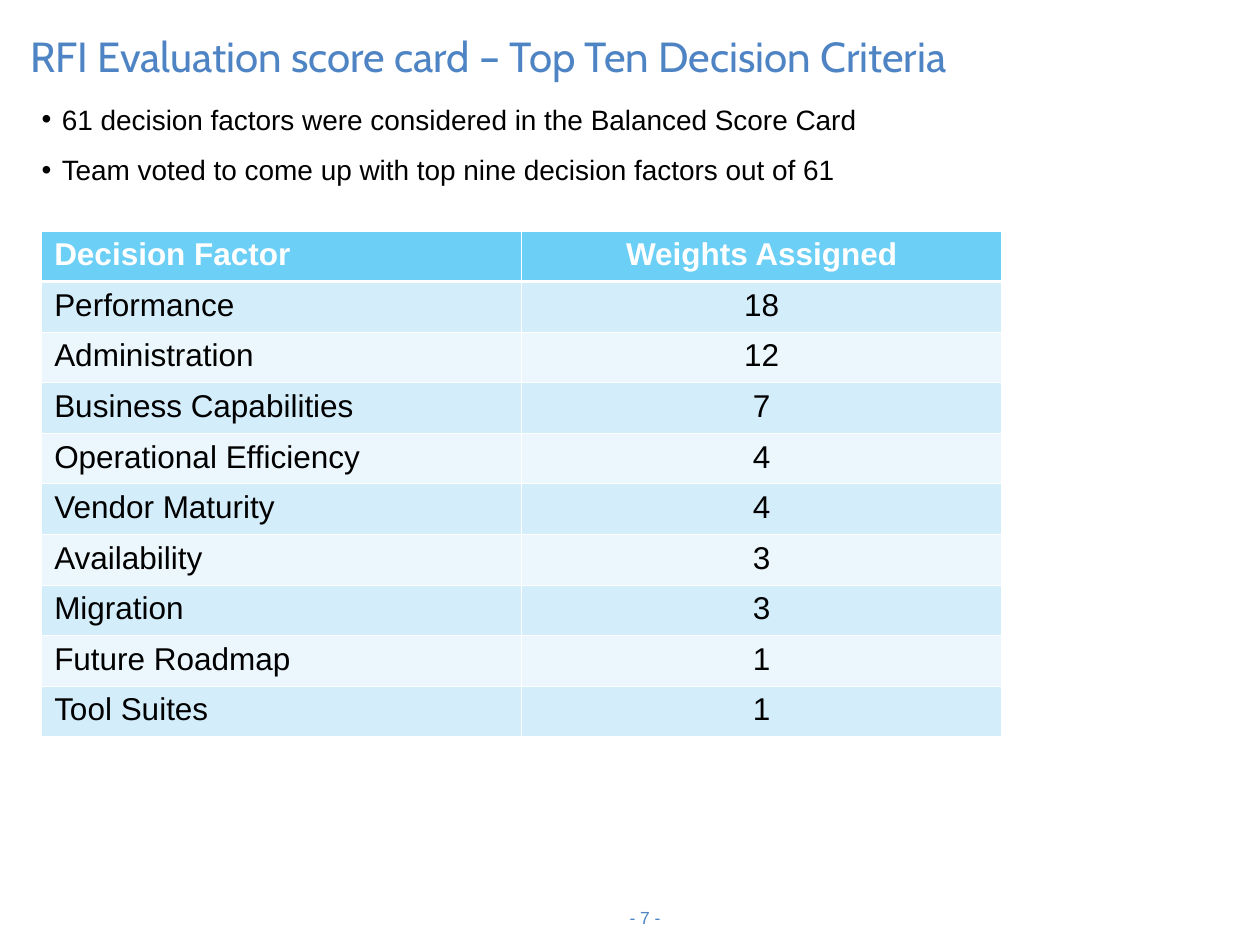
from typing import NamedTuple

from lxml import etree
from pptx import Presentation
from pptx.dml.color import RGBColor
from pptx.enum.text import PP_ALIGN
from pptx.oxml.ns import qn
from pptx.util import Pt

LEFT, CENTER, RIGHT = PP_ALIGN.LEFT, PP_ALIGN.CENTER, PP_ALIGN.RIGHT
BLUE, BLACK, WHITE = "4E84C4", "000000", "FFFFFF"
HEADER_FILL, BAND_FILLS = "6CCFF6", ("D4EDFB", "EBF6FD")
ROW_HEIGHT, COLUMN_WIDTH = 28.9, 274.3
THIN_BORDER, HEADER_BORDER = 0.45, 1.47
BULLET_INDENT = 11.5


class Style(NamedTuple):
    """Look of a run and its paragraph."""
    size: float
    color: str
    font: str = "Arial"
    bold: bool = False
    align: PP_ALIGN = LEFT


class TextBlock(NamedTuple):
    """A text box with its place, lines and look."""
    left: float
    top: float
    width: float
    height: float
    lines: tuple[str, ...]
    style: Style
    bulleted: bool = False


class Factor(NamedTuple):
    """A decision factor and its assigned weight."""
    name: str
    weight: str


TEXT_BLOCKS = (
    TextBlock(342.7, 514.8, 41.8, 22.3, ("- 7 -",), Style(10, BLUE, align=RIGHT)),
    TextBlock(23.8, 49, 679, 57.6, (
        "61 decision factors were considered in the Balanced Score Card",
        "Team voted to come up with top nine decision factors out of 61",
    ), Style(16, BLACK), bulleted=True),
    TextBlock(10.1, 13.7, 685.4, 38.9,
              ("RFI Evaluation score card – Top Ten Decision Criteria",),
              Style(24, BLUE, "Cabin")),
)
FACTORS = (
    Factor("Decision Factor", "Weights Assigned"),
    Factor("Performance", "18"),
    Factor("Administration", "12"),
    Factor("Business Capabilities", "7"),
    Factor("Operational Efficiency", "4"),
    Factor("Vendor Maturity", "4"),
    Factor("Availability", "3"),
    Factor("Migration", "3"),
    Factor("Future Roadmap", "1"),
    Factor("Tool Suites", "1"),
)


def rgb(color: str) -> RGBColor:
    """Turn a hex string into a colour."""
    return RGBColor.from_string(color)


def add_run(paragraph, text: str, style: Style) -> None:
    """Add a styled run to a paragraph."""
    paragraph.alignment = style.align
    run = paragraph.add_run()
    run.text = text
    run.font.name = style.font
    run.font.size = Pt(style.size)
    run.font.bold = style.bold
    run.font.color.rgb = rgb(style.color)


def add_bullet(paragraph, color: str) -> None:
    """Give a paragraph a hanging bullet."""
    paragraph.line_spacing = 1.5
    properties = paragraph._p.get_or_add_pPr()
    properties.set("marL", str(Pt(BULLET_INDENT)))
    properties.set("indent", str(-Pt(BULLET_INDENT)))
    bullet_color = etree.SubElement(properties, qn("a:buClr"))
    etree.SubElement(bullet_color, qn("a:srgbClr"), val=color)
    etree.SubElement(properties, qn("a:buFont"), typeface="Arial")
    etree.SubElement(properties, qn("a:buChar"), char="•")


def add_text_block(slide, block: TextBlock) -> None:
    """Draw a text box, one paragraph a line."""
    shape = slide.shapes.add_textbox(
        Pt(block.left), Pt(block.top), Pt(block.width), Pt(block.height))
    frame = shape.text_frame
    frame.word_wrap = True
    if block.bulleted:
        frame.margin_left = frame.margin_right = Pt(0)
        frame.margin_top = frame.margin_bottom = Pt(0)
    for index, line in enumerate(block.lines):
        paragraph = frame.add_paragraph() if index else frame.paragraphs[0]
        if block.bulleted:
            add_bullet(paragraph, block.style.color)
        add_run(paragraph, line, block.style)


def set_borders(cell, top: float, bottom: float) -> None:
    """Draw white lines on all four sides of a cell."""
    properties = cell._tc.get_or_add_tcPr()
    widths = {"a:lnL": THIN_BORDER, "a:lnR": THIN_BORDER, "a:lnT": top, "a:lnB": bottom}
    for side, width in widths.items():
        line = etree.SubElement(properties, qn(side), w=str(Pt(width)))
        fill = etree.SubElement(line, qn("a:solidFill"))
        etree.SubElement(fill, qn("a:srgbClr"), val=WHITE)


def add_factor_table(slide, left: float, top: float) -> None:
    """Draw the banded table of decision factors and weights."""
    column_count = len(Factor._fields)
    table = slide.shapes.add_table(
        len(FACTORS), column_count, Pt(left), Pt(top),
        Pt(COLUMN_WIDTH * column_count), Pt(ROW_HEIGHT * len(FACTORS))).table
    for column in table.columns:
        column.width = Pt(COLUMN_WIDTH)
    for row_index, factor in enumerate(FACTORS):
        table.rows[row_index].height = Pt(ROW_HEIGHT)
        is_header = row_index == 0
        fill = HEADER_FILL if is_header else BAND_FILLS[(row_index - 1) % 2]
        top_border = HEADER_BORDER if row_index == 1 else THIN_BORDER
        bottom_border = HEADER_BORDER if is_header else THIN_BORDER
        for column_index, (text, align) in enumerate(zip(factor, (LEFT, CENTER))):
            cell = table.cell(row_index, column_index)
            set_borders(cell, top_border, bottom_border)
            cell.fill.solid()
            cell.fill.fore_color.rgb = rgb(fill)
            style = Style(18, WHITE if is_header else BLACK, bold=is_header, align=align)
            add_run(cell.text_frame.paragraphs[0], text, style)


def main() -> None:
    """Build and save the score card slide."""
    presentation = Presentation()
    presentation.slide_width, presentation.slide_height = Pt(720), Pt(540)
    slide = presentation.slides.add_slide(presentation.slide_layouts[6])
    for block in TEXT_BLOCKS:
        add_text_block(slide, block)
    add_factor_table(slide, 23.8, 132)
    presentation.save("out.pptx")


if __name__ == "__main__":
    main()
